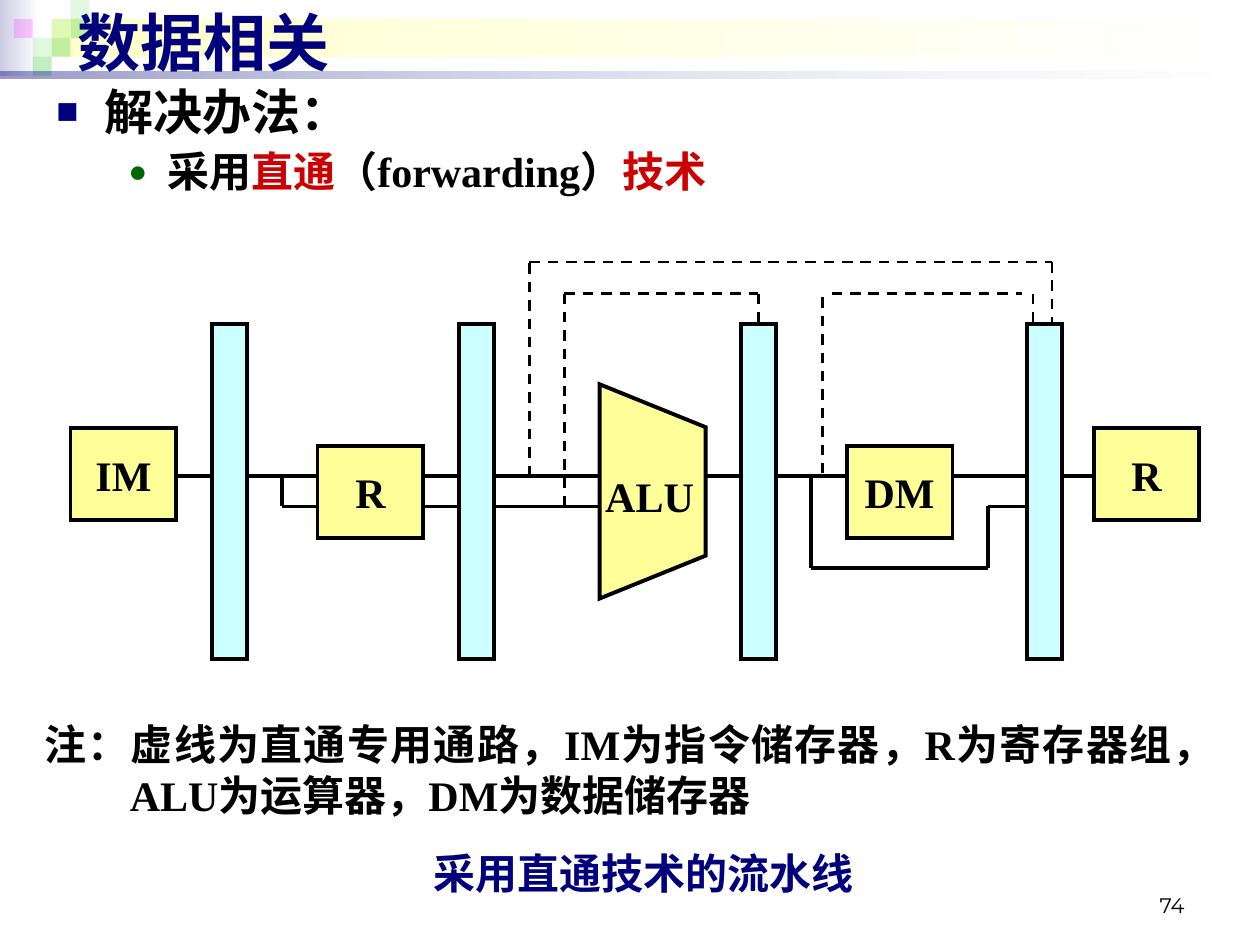
"""Draw the forwarding pipeline slide."""
from lxml import etree
from pptx import Presentation, util as u
from pptx.dml.color import RGBColor
from pptx.enum import dml, shapes, text
from pptx.oxml import ns

INK, NAVY, RED, GREEN = "000000", "00007D", "CC0000", "006600"
WHITE, CREAM, CYAN = "FFFFFF", "FFFF99", "CCFFFF"
SERIF = "Times New Roman"
LEFT, MID = text.PP_ALIGN.LEFT, text.PP_ALIGN.CENTER
RECT = shapes.MSO_SHAPE.RECTANGLE


def tint(color, code):
    color.rgb = RGBColor.from_string(code)


def child(node, tag, **attrs):
    return etree.SubElement(node, ns.qn(tag), attrs)


def fade(color_node, pct):
    if pct < 100:
        child(color_node, "a:alpha", val=str(pct * 1000))


def bullet(para, char, code):
    props = para._p.get_or_add_pPr()
    child(child(props, "a:buClr"), "a:srgbClr", val=code)
    child(props, "a:buSzPct", val="75000")
    child(props, "a:buFont", typeface="Arial")
    child(props, "a:buChar", char=char)


def write(para, words, size=24, font=SERIF, color=INK, bold=True,
          align=LEFT, before=0, left=0, hang=0):
    props = para._p.get_or_add_pPr()
    props.set("marL", str(u.Inches(left)))
    props.set("indent", str(u.Inches(-hang)))
    props.set("hangingPunct", "0")
    para.alignment = align
    para.space_before = u.Pt(before)
    run = para.add_run()
    run.text = words
    run.font.size, run.font.name, run.font.bold = u.Pt(size), font, bold
    tint(run.font.color, color)
    run._r.get_or_add_rPr().set("lang", "zh-CN")


class Deck:
    """Hold the style and the current slide."""

    def __init__(self):
        self.show = Presentation()
        self.show.slide_width, self.show.slide_height = u.Inches(10), u.Inches(7.5)
        self.slide = self.show.slides.add_slide(self.show.slide_layouts[6])
        self.items = self.slide.shapes
        self.thick, self.thin = 2.25, 1.5

    def box(self, x, y, w, h, fill, alpha=100, edge=False, kind=RECT):
        item = self.items.add_shape(kind, *map(u.Inches, (x, y, w, h)))
        item.shadow.inherit = False
        item.fill.solid()
        tint(item.fill.fore_color, fill)
        fade(item.fill._xPr.find(".//" + ns.qn("a:srgbClr")), alpha)
        if edge:
            tint(item.line.color, INK)
            item.line.width = u.Pt(self.thick)
            child(item.line._get_or_add_ln(), "a:miter", lim="800000")
        else:
            item.line.fill.background()
        return item

    def blend(self, x, y, w, h, start, end, alphas=(100, 100)):
        item = self.box(x, y, w, h, start)
        item.fill.gradient()
        item.fill.gradient_angle = 0
        for stop, place, code in zip(item.fill.gradient_stops, (0, 1), (start, end)):
            stop.position = place
            tint(stop.color, code)
        for node, pct in zip(item.fill._xPr.iter(ns.qn("a:srgbClr")), alphas):
            fade(node, pct)

    def label(self, item, words, **style):
        frame = item.text_frame
        frame.word_wrap = True
        frame.vertical_anchor = text.MSO_ANCHOR.MIDDLE
        frame.margin_left = frame.margin_right = 0
        frame.margin_top = frame.margin_bottom = 0
        write(frame.paragraphs[0], words, **style)

    def frame(self, x, y, w, h, anchor=text.MSO_ANCHOR.TOP):
        frame = self.items.add_textbox(*map(u.Inches, (x, y, w, h))).text_frame
        frame.word_wrap = True
        frame.vertical_anchor = anchor
        return frame

    def wire(self, x1, y1, x2, y2, dash=False):
        ends = map(u.Inches, (x1, y1, x2, y2))
        item = self.items.add_connector(shapes.MSO_CONNECTOR.STRAIGHT, *ends)
        tint(item.line.color, INK)
        item.line.width = u.Pt(self.thin if dash else self.thick)
        if dash:
            item.line.dash_style = dml.MSO_LINE.DASH
        child(item._element.spPr, "a:effectLst")

    def route(self, *points, dash=False):
        for start, end in zip(points, points[1:]):
            self.wire(*start, *end, dash=dash)


def trim(deck):
    deck.blend(0, 0, 0.31, 0.6, "CCCCE6", WHITE)
    deck.blend(0.41, 0.15, 9.55, 0.3, "FFFFCC", WHITE)
    side = 0.15
    for col, row, code, pct in (
            (2, 1, "33CC33", 15), (3, 0, "33CC33", 15), (3, 1, "33CC33", 30),
            (1, 2, "33CC33", 15), (0, 1, "FF00FF", 20), (2, 2, "33CC33", 30),
            (1, 3, "33CC33", 30)):
        deck.box(0.11 + col * side, row * side, side, side, code, pct)
    deck.blend(0, 0.57, 10, 0.05, NAVY, WHITE, (40, 10))


def words(deck):
    page = deck.frame(7.17, 6.83, 2.33, 0.5, text.MSO_ANCHOR.BOTTOM)
    write(page.paragraphs[0], "74", size=12, font="Montserrat", bold=False,
          align=text.PP_ALIGN.RIGHT)
    title = deck.frame(0.52, -0.03, 9.37, 0.71, text.MSO_ANCHOR.MIDDLE)
    write(title.paragraphs[0], "数据相关", size=36, font="Arial", color=NAVY)

    body = deck.frame(0.35, 0.6, 9.53, 1.02)
    head, point = body.paragraphs[0], body.add_paragraph()
    bullet(head, "■", NAVY)
    write(head, "解决办法：", size=28, left=0.38, hang=0.38)
    bullet(point, "●", GREEN)
    for part, code in (("采用", INK), ("直通", RED),
                       ("（forwarding）", INK), ("技术", RED)):
        write(point, part, color=code, before=3, left=0.88, hang=0.31)

    deck.label(deck.box(2.64, 6.66, 4.94, 0.53, WHITE), "采用直通技术的流水线",
               color=NAVY, align=MID)
    deck.label(deck.box(0.35, 5.62, 9.29, 0.97, WHITE),
               "注：虚线为直通专用通路，IM为指令储存器，R为寄存器组，ALU为运算器，DM为数据储存器",
               align=text.PP_ALIGN.JUSTIFY, left=0.68, hang=0.68)


def pipe(deck):
    top, low, base = 3.78, 4.02, 4.51
    for x1, x2 in ((1.4, 1.68), (1.96, 2.52), (3.36, 3.64), (3.92, 4.76),
                   (5.6, 5.88), (6.16, 6.72), (7.56, 8.15), (8.43, 8.68)):
        deck.wire(x1, top, x2, top)
    for x1, x2 in ((3.36, 3.64), (3.92, 4.76)):
        deck.wire(x1, low, x2, low)
    deck.route((2.24, top), (2.24, low), (2.52, low))
    deck.route((6.44, top), (6.44, base), (7.84, base), (7.84, low), (8.15, low))

    for x in (1.68, 3.64, 5.88, 8.15):
        deck.box(x, 2.57, 0.28, 2.66, CYAN, edge=True)
    for name, x, y in (("IM", 0.56, 3.4), ("R", 2.52, 3.54),
                       ("DM", 6.72, 3.54), ("R", 8.68, 3.4)):
        deck.label(deck.box(x, y, 0.84, 0.73, CREAM, edge=True), name, align=MID)
    unit = deck.box(4.33, 3.48, 1.7, 0.84, CREAM, edge=True,
                    kind=shapes.MSO_SHAPE.FLOWCHART_MANUAL_OPERATION)
    unit.rotation = 270
    deck.label(deck.box(4.78, 3.59, 0.75, 0.68, CREAM), "ALU", align=MID)

    deck.route((4.2, top), (4.2, 2.08), (8.35, 2.08), (8.35, 2.57), dash=True)
    deck.route((4.48, low), (4.48, 2.33), (6.02, 2.33), (6.02, 2.57), dash=True)
    deck.wire(6.53, 2.36, 6.53, top, dash=True)
    deck.route((6.6, 2.33), (8.11, 2.33), dash=True)
    deck.wire(8.2, 2.33, 8.2, 2.57, dash=True)


def main():
    deck = Deck()
    trim(deck)
    words(deck)
    pipe(deck)
    deck.show.save("out.pptx")


if __name__ == "__main__":
    main()
